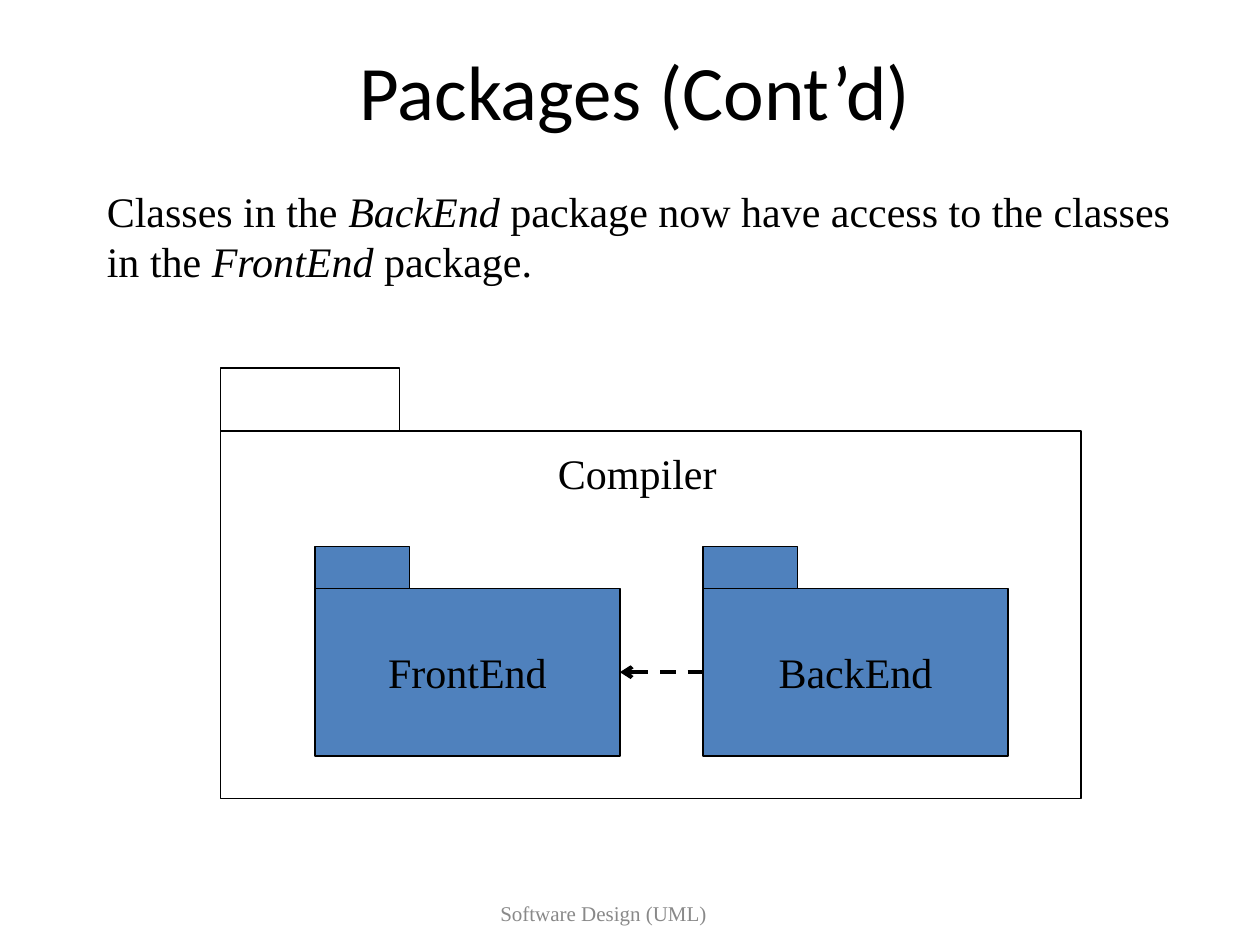
from dataclasses import dataclass
from typing import Optional

from lxml import etree
from pptx import Presentation
from pptx import util as u
from pptx.dml.color import RGBColor
from pptx.enum import dml, shapes, text
from pptx.oxml.ns import qn

BLACK = RGBColor(0x00, 0x00, 0x00)
GREY = RGBColor(0x89, 0x89, 0x89)
BLUE = RGBColor(0x4F, 0x81, 0xBD)
SERIF = "Times New Roman"
CENTER, LEFT = text.PP_ALIGN.CENTER, text.PP_ALIGN.LEFT
MIDDLE, TOP = text.MSO_ANCHOR.MIDDLE, text.MSO_ANCHOR.TOP


@dataclass(frozen=True)
class Package:
    left: float
    top: float
    width: float
    height: float
    tab_width: float
    tab_height: float
    fill: Optional[RGBColor] = None
    name: str = ""


@dataclass(frozen=True)
class Label:
    box: tuple[float, float, float, float]
    runs: tuple[tuple[str, bool], ...]
    size: int = 24
    font: str = SERIF
    color: RGBColor = BLACK
    align: text.PP_ALIGN = LEFT
    anchor: text.MSO_ANCHOR = TOP


FRONT_END = Package(2.5, 4.67, 2.42, 1.33, 0.75, 0.33, BLUE, "FrontEnd")
BACK_END = Package(5.58, 4.67, 2.42, 1.33, 0.75, 0.33, BLUE, "BackEnd")
COMPILER = Package(1.75, 3.42, 6.83, 2.92, 1.42, 0.5)

LABELS = (
    Label((0.75, 0.42, 8.58, 0.58), (("Packages (Cont’d)", False),),
          44, "Calibri", align=CENTER, anchor=MIDDLE),
    Label((2.58, 7, 4.42, 0.5), (("Software Design (UML)", False),),
          12, color=GREY, align=CENTER, anchor=MIDDLE),
    Label((0.75, 1.42, 8.83, 0.9), (
        ("Classes in the ", False),
        ("BackEnd", True),
        (" package now have access to the classes in the ", False),
        ("FrontEnd", True),
        (" package.", False),
    )),
    Label((4.33, 3.5, 2.08, 0.5), (("Compiler", False),)),
)


def style_paragraph(paragraph, size: int, font: str, color: RGBColor, align) -> None:
    paragraph.alignment = align
    paragraph.font.size = u.Pt(size)
    paragraph.font.name = font
    paragraph.font.color.rgb = color


def draw_label(slide, label: Label) -> None:
    frame = slide.shapes.add_textbox(*map(u.Inches, label.box)).text_frame
    frame.word_wrap = True
    frame.vertical_anchor = label.anchor
    paragraph = frame.paragraphs[0]
    for words, italic in label.runs:
        run = paragraph.add_run()
        run.text = words
        run.font.italic = italic
    style_paragraph(paragraph, label.size, label.font, label.color, label.align)


def draw_rectangle(slide, left: float, top: float, width: float, height: float,
                   fill: Optional[RGBColor]):
    rectangle = slide.shapes.add_shape(
        shapes.MSO_SHAPE.RECTANGLE, *map(u.Inches, (left, top, width, height)))
    rectangle.shadow.inherit = False
    if fill is None:
        rectangle.fill.background()
    else:
        rectangle.fill.solid()
        rectangle.fill.fore_color.rgb = fill
    rectangle.line.color.rgb = BLACK
    rectangle.line.width = u.Pt(0.75)
    return rectangle


def draw_package(slide, package: Package) -> None:
    body = draw_rectangle(slide, package.left, package.top,
                          package.width, package.height, package.fill)
    draw_rectangle(slide, package.left, package.top - package.tab_height,
                   package.tab_width, package.tab_height, package.fill)
    if package.name:
        frame = body.text_frame
        frame.word_wrap = False
        frame.vertical_anchor = MIDDLE
        frame.text = package.name
        style_paragraph(frame.paragraphs[0], 24, SERIF, BLACK, CENTER)


def draw_dependency(slide, target: Package, source: Package) -> None:
    middle = u.Inches(target.top + target.height / 2)
    dependency = slide.shapes.add_connector(
        shapes.MSO_CONNECTOR.STRAIGHT,
        u.Inches(target.left + target.width), middle, u.Inches(source.left), middle)
    dependency.line.color.rgb = BLACK
    dependency.line.width = u.Pt(2.25)
    dependency.line.dash_style = dml.MSO_LINE.DASH
    properties = dependency.element.spPr
    etree.SubElement(properties.find(qn("a:ln")), qn("a:headEnd"), type="arrow")
    etree.SubElement(properties, qn("a:effectLst"))


def main() -> None:
    """Build the slide on UML package dependencies."""
    deck = Presentation()
    deck.slide_width, deck.slide_height = u.Inches(10), u.Inches(7.5)
    slide = deck.slides.add_slide(deck.slide_layouts[6])
    for package in (FRONT_END, BACK_END, COMPILER):
        draw_package(slide, package)
    for label in LABELS:
        draw_label(slide, label)
    draw_dependency(slide, FRONT_END, BACK_END)
    deck.save("out.pptx")


if __name__ == "__main__":
    main()
